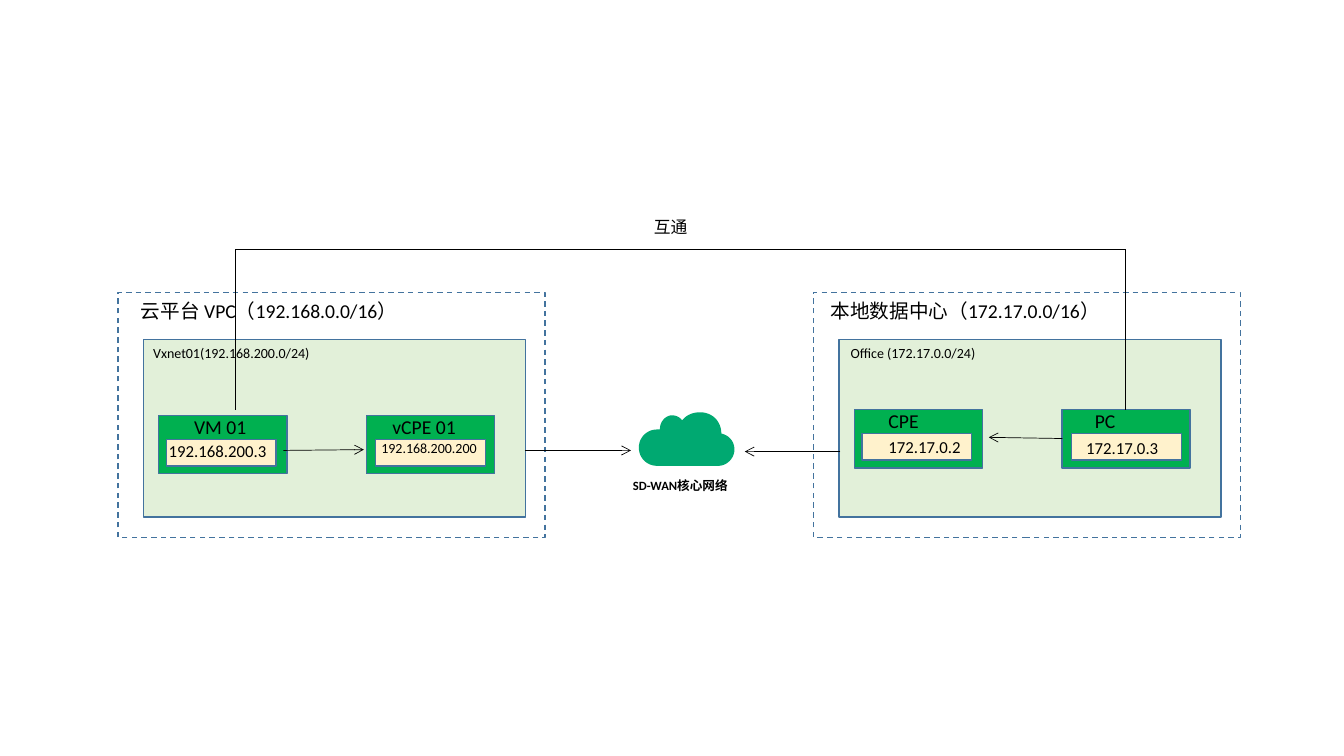
from dataclasses import dataclass

from lxml.etree import SubElement
from pptx import Presentation
from pptx.dml.color import RGBColor
from pptx.enum.dml import MSO_LINE
from pptx.enum.shapes import MSO_CONNECTOR, MSO_SHAPE
from pptx.enum.text import MSO_AUTO_SIZE
from pptx.oxml.ns import qn
from pptx.util import Cm, Pt


@dataclass(frozen=True)
class Theme:
    font: str = "Calibri"
    ink: str = "000000"
    border: str = "43739E"
    network: str = "E2F0D9"
    device: str = "00B050"
    address: str = "FFF2CC"
    cloud: str = "00A971"
    heading: int = 14
    body: int = 12
    label: int = 10
    caption: int = 9


@dataclass(frozen=True)
class Device:
    """Offsets are in cm from the device's top left corner."""
    name: str
    ip: str
    name_dx: float
    ip_at: tuple
    ip_size: int
    ip_width: float


@dataclass(frozen=True)
class Zone:
    """Offsets are in cm from the zone's top left corner."""
    title: str
    title_dx: float
    network: str
    network_dx: float
    device_top: float
    devices: tuple
    links: tuple


THEME = Theme()
ZONE_W, ZONE_H = 10.77, 6.17

CLOUD_VPC = Zone(
    "云平台 VPC（192.168.0.0/16）", 0.33, "Vxnet01(192.168.200.0/24)", 0, 3.1,
    (Device("VM 01", "192.168.200.3", 0.64, (0, 0.51), THEME.body, 4.24),
     Device("vCPE 01", "192.168.200.200", 0.41, (0.13, 0.48), THEME.label, 3.23)),
    (((4.17, 3.98), (6.2, 3.96)), ((10.26, 3.98), (12.93, 3.98))))
DATA_CENTER = Zone(
    "本地数据中心（172.17.0.0/16）", 0.18, "Office (172.17.0.0/24)", 0.05, 2.95,
    (Device("CPE", "172.17.0.2", 0.61, (0.61, 0.56), THEME.body, 2.62),
     Device("PC", "172.17.0.3", 0.58, (0.36, 0.58), THEME.body, 3)),
    (((6.27, 3.68), (4.42, 3.65)), ((0.68, 4.01), (-1.73, 4.01))))

# Cloud outline on a 95 x 53 grid: each curve has two control points and an end.
CLOUD_GRID = (95, 53)
CLOUD_START = (95, 37)
CLOUD_CURVES = (
    ((95, 29), (90, 23), (82, 21)),
    ((82, 9), (73, 0), (61, 0)),
    ((53, 0), (47, 3), (43, 8)),
    ((41, 5), (37, 3), (33, 3)),
    ((27, 3), (21, 9), (21, 16)),
    ((21, 16), (21, 17), (21, 17)),
    ((20, 17), (19, 17), (18, 17)),
    ((8, 17), (0, 25), (0, 35)),
    ((0, 45), (8, 53), (18, 53)),
    ((18, 53), (79, 53), (79, 53)),
    ((88, 53), (95, 45), (95, 37)),
)


def color(value):
    return RGBColor.from_string(value)


def add_box(s, x, y, w, h, fill=None, dashed=False):
    sp = s.shapes.add_shape(MSO_SHAPE.RECTANGLE, Cm(x), Cm(y), Cm(w), Cm(h))
    sp.shadow.inherit = False
    if fill:
        sp.fill.solid()
        sp.fill.fore_color.rgb = color(fill)
    else:
        sp.fill.background()
    sp.line.color.rgb = color(THEME.border)
    sp.line.width = Pt(1)
    if dashed:
        sp.line.dash_style = MSO_LINE.DASH


def add_text(s, x, y, w, h, text, size, bold=False):
    tf = s.shapes.add_textbox(Cm(x), Cm(y), Cm(w), Cm(h)).text_frame
    tf.word_wrap = True
    tf.auto_size = MSO_AUTO_SIZE.SHAPE_TO_FIT_TEXT
    p = tf.paragraphs[0]
    p.text = text
    p.font.name = THEME.font
    p.font.size = Pt(size)
    p.font.bold = bold
    p.font.color.rgb = color(THEME.ink)


def add_line(s, start, end, arrow=False):
    cx = s.shapes.add_connector(MSO_CONNECTOR.STRAIGHT, *map(Cm, start + end))
    cx.line.color.rgb = color(THEME.ink)
    cx.line.width = Pt(0.5)
    props = cx._element.spPr
    if arrow:
        SubElement(props.find(qn("a:ln")), qn("a:tailEnd"), type="arrow")
    SubElement(props, qn("a:effectLst"))


def add_device(s, x, y, device, ip_box_dx):
    add_box(s, x, y, 3.23, 1.47, THEME.device)
    add_box(s, x + ip_box_dx, y + 0.61, 2.77, 0.66, THEME.address)
    add_text(s, x + device.name_dx, y - 0.15, 2.62, 0.86, device.name, THEME.heading)
    dx, dy = device.ip_at
    add_text(s, x + dx, y + dy, device.ip_width, 0.76, device.ip, device.ip_size)


def add_zone(s, x, y, w, h, zone):
    add_box(s, x, y, w, h, dashed=True)
    net_x, net_y = x + 0.64, y + 1.19
    add_box(s, net_x, net_y, w - 1.14, h - 1.7, THEME.network)
    add_text(s, x + zone.title_dx, y + 0.05, 8.9, 0.86, zone.title, THEME.heading)
    add_text(s, net_x + zone.network_dx, net_y, 7.42, 0.69, zone.network, THEME.label)
    for device, dx, ip_box_dx in zip(zone.devices, (1.03, 6.26), (0.19, 0.24)):
        add_device(s, x + dx, y + zone.device_top, device, ip_box_dx)
    for (x1, y1), (x2, y2) in zone.links:
        add_line(s, (x + x1, y + y1), (x + x2, y + y2), arrow=True)


def curve_points(start, curves, steps=12):
    """Return points along a chain of cubic Bézier curves."""
    points = []
    for a, b, end in curves:
        for t in (i / steps for i in range(1, steps + 1)):
            u = 1 - t
            weights = (u ** 3, 3 * u * u * t, 3 * u * t * t, t ** 3)
            points.append(tuple(
                sum(k * v for k, v in zip(weights, axis))
                for axis in zip(start, a, b, end)))
        start = end
    return points


def add_cloud(s, x, y, w, h):
    def place(point):
        return (Cm(x + w * point[0] / CLOUD_GRID[0]),
                Cm(y + h * point[1] / CLOUD_GRID[1]))

    builder = s.shapes.build_freeform(*place(CLOUD_START))
    builder.add_line_segments(
        [place(pt) for pt in curve_points(CLOUD_START, CLOUD_CURVES)], close=True)
    sp = builder.convert_to_shape()
    sp.shadow.inherit = False
    sp.fill.solid()
    sp.fill.fore_color.rgb = color(THEME.cloud)
    sp.line.fill.background()
    add_text(s, x - 0.4, y + h + 0.17, 3.33, 0.64, "SD-WAN核心网络", THEME.caption, bold=True)


def add_bridge(s, x, y, w, h):
    """Join the two end hosts with a bracket and its label."""
    right = x + w
    add_line(s, (x, y + h), (x, y))
    add_line(s, (right, y + h), (right, y))
    add_line(s, (x, y), (right, y))
    add_text(s, x + 10.3, y - 0.95, 3.02, 0.76, "互通", THEME.body)


def main():
    prs = Presentation()
    prs.slide_width, prs.slide_height = Cm(33.87), Cm(19.05)
    s = prs.slides.add_slide(prs.slide_layouts[6])
    for x, zone in ((2.97, CLOUD_VPC), (20.5, DATA_CENTER)):
        add_zone(s, x, 7.37, ZONE_W, ZONE_H, zone)
    add_cloud(s, 16.1, 10.39, 2.41, 1.35)
    add_bridge(s, 5.93, 6.28, 22.44, 4.05)
    prs.save("out.pptx")


if __name__ == "__main__":
    main()
